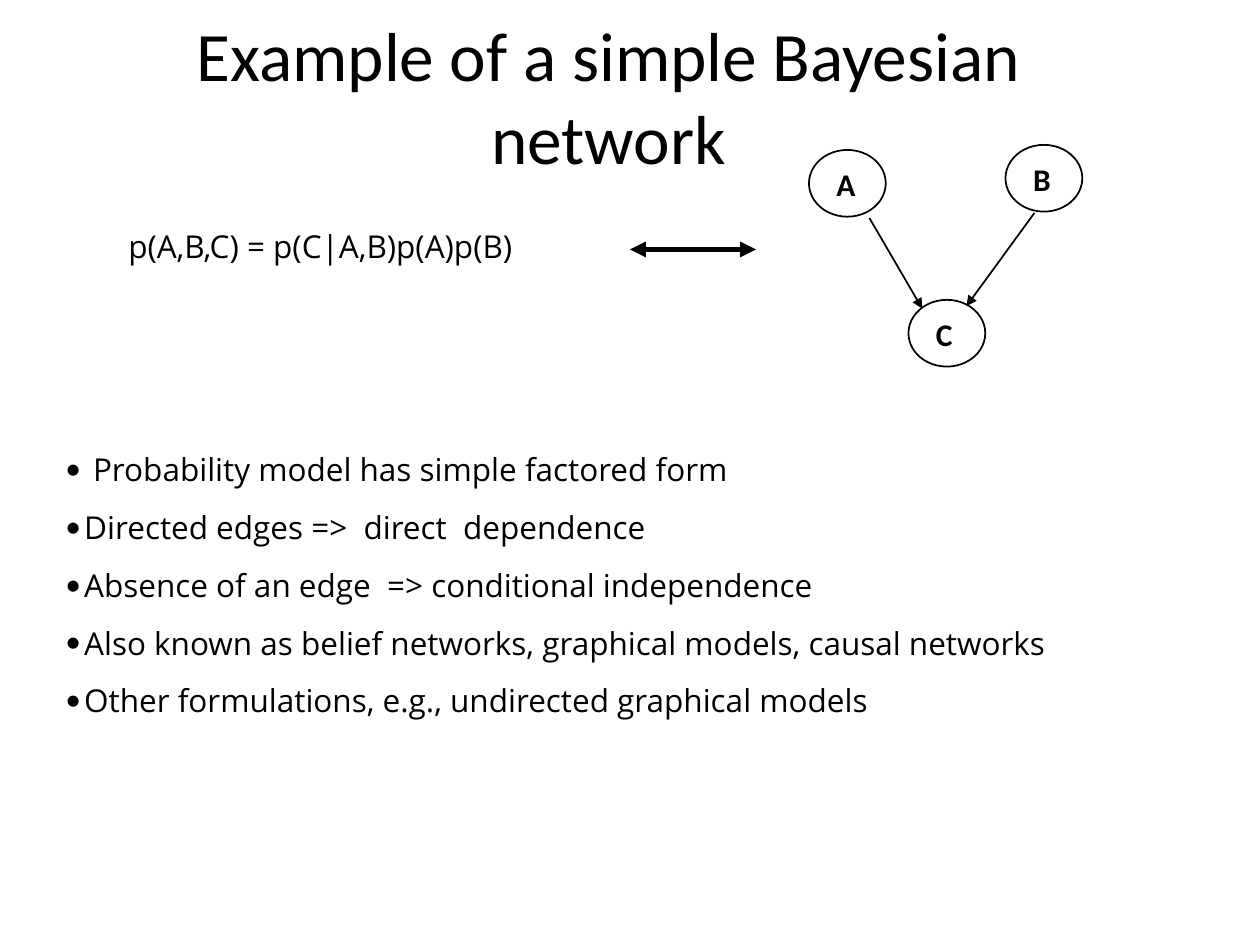
from lxml import etree
from pptx import Presentation
from pptx.dml.color import RGBColor
from pptx.enum.shapes import MSO_CONNECTOR, MSO_SHAPE
from pptx.enum.text import MSO_ANCHOR, PP_ALIGN
from pptx.oxml.ns import qn
from pptx.util import Inches, Pt

OVAL = MSO_SHAPE.OVAL
LINE = MSO_CONNECTOR.STRAIGHT
CENTER = PP_ALIGN.CENTER
MIDDLE = MSO_ANCHOR.MIDDLE
BLACK = "000000"
HEAD, BODY = "Calibri", "Open Sans"
POINTS = [
    "Probability model has simple factored form",
    "Directed edges =>  direct  dependence",
    "Absence of an edge  => conditional independence",
    "Also known as belief networks, graphical models, causal networks",
    "Other formulations, e.g., undirected graphical models",
]


def color(code):
    """Turn a hex string into a colour."""
    return RGBColor.from_string(code)


def add_run(para, text, size, face, bold=False):
    """Add one formatted run to a paragraph."""
    run = para.add_run()
    run.text = text
    run.font.size = Pt(size)
    run.font.name = face
    run.font.bold = bold
    run.font.color.rgb = color(BLACK)


def add_box(slide, box, wrap=False):
    """Add an empty text box and return its frame."""
    frame = slide.shapes.add_textbox(*map(Inches, box)).text_frame
    frame.word_wrap = wrap
    return frame


def add_arrow(slide, start, end, width, ends):
    """Draw a line with triangles at the named ends."""
    link = slide.shapes.add_connector(LINE, *map(Inches, start + end))
    link.line.color.rgb = color(BLACK)
    link.line.width = Pt(width)
    for tag in ends:
        etree.SubElement(link.line._get_or_add_ln(), qn(tag), type="triangle")
    etree.SubElement(link._element.spPr, qn("a:effectLst"))


def add_title(slide, box, text):
    """Place and fill the title placeholder."""
    title = slide.shapes.title
    title.left, title.top, title.width, title.height = map(Inches, box)
    frame = title.text_frame
    frame.word_wrap = True
    frame.vertical_anchor = MIDDLE
    para = frame.paragraphs[0]
    para.alignment = CENTER
    add_run(para, text, 39.6, HEAD)


def add_node(slide, name, left, top):
    """Draw an outlined oval with its letter."""
    frame = add_box(slide, (left + 0.12, top + 0.07, 0.38, 0.4))
    add_run(frame.paragraphs[0], name, 18, HEAD, True)
    oval = slide.shapes.add_shape(
        OVAL, *map(Inches, (left, top, 0.61, 0.53)))
    oval.shadow.inherit = False
    oval.fill.background()
    oval.line.color.rgb = color(BLACK)
    oval.line.width = Pt(1)


def add_graph(slide, left, top):
    """Draw the three-node network from its top left corner."""
    for name, x, y in (("A", 0, 0.04), ("B", 1.56, 0), ("C", 0.79, 1.23)):
        add_node(slide, name, left + x, top + y)
    for x, y, to_x, to_y in ((0.48, 0.58, 0.9, 1.3), (1.79, 0.54, 1.25, 1.28)):
        add_arrow(slide, (left + x, top + y), (left + to_x, top + to_y),
                  1, ["a:tailEnd"])


def add_model(slide, left, top):
    """Write the formula and the double arrow beside it."""
    frame = add_box(slide, (left, top, 3.87, 0.4))
    add_run(frame.paragraphs[0], "p(A,B,C) = p(C|A,B)p(A)p(B)", 18, BODY)
    y = top + 0.23
    add_arrow(slide, (left + 4.08, y), (left + 5.08, y),
              3, ["a:headEnd", "a:tailEnd"])


def add_points(slide, box, points):
    """Write the bulleted list."""
    frame = add_box(slide, box, True)
    for i, text in enumerate(points):
        para = frame.add_paragraph() if i else frame.paragraphs[0]
        para.line_spacing = 0.8
        para.space_before, para.space_after = Pt(6.3), Pt(9.5)
        gap = Inches(0.15 if i else 0.22)
        props = para._p.get_or_add_pPr()
        props.set("marL", str(gap))
        props.set("indent", str(-gap))
        face = etree.SubElement(props, qn("a:buFont"))
        face.set("typeface", HEAD)
        etree.SubElement(props, qn("a:buChar"), char="•")
        add_run(para, text, 18, BODY)


def main():
    """Build and save the slide."""
    deck = Presentation()
    deck.slide_width, deck.slide_height = Inches(10), Inches(7.5)
    slide = deck.slides.add_slide(deck.slide_layouts[5])
    add_title(slide, (0.58, 0.42, 8.5, 0.67),
              "Example of a simple Bayesian network")
    add_graph(slide, 6.42, 1.15)
    add_points(slide, (0.42, 3.58, 8.74, 2.54), POINTS)
    add_model(slide, 0.92, 1.75)
    deck.save("out.pptx")


main()
